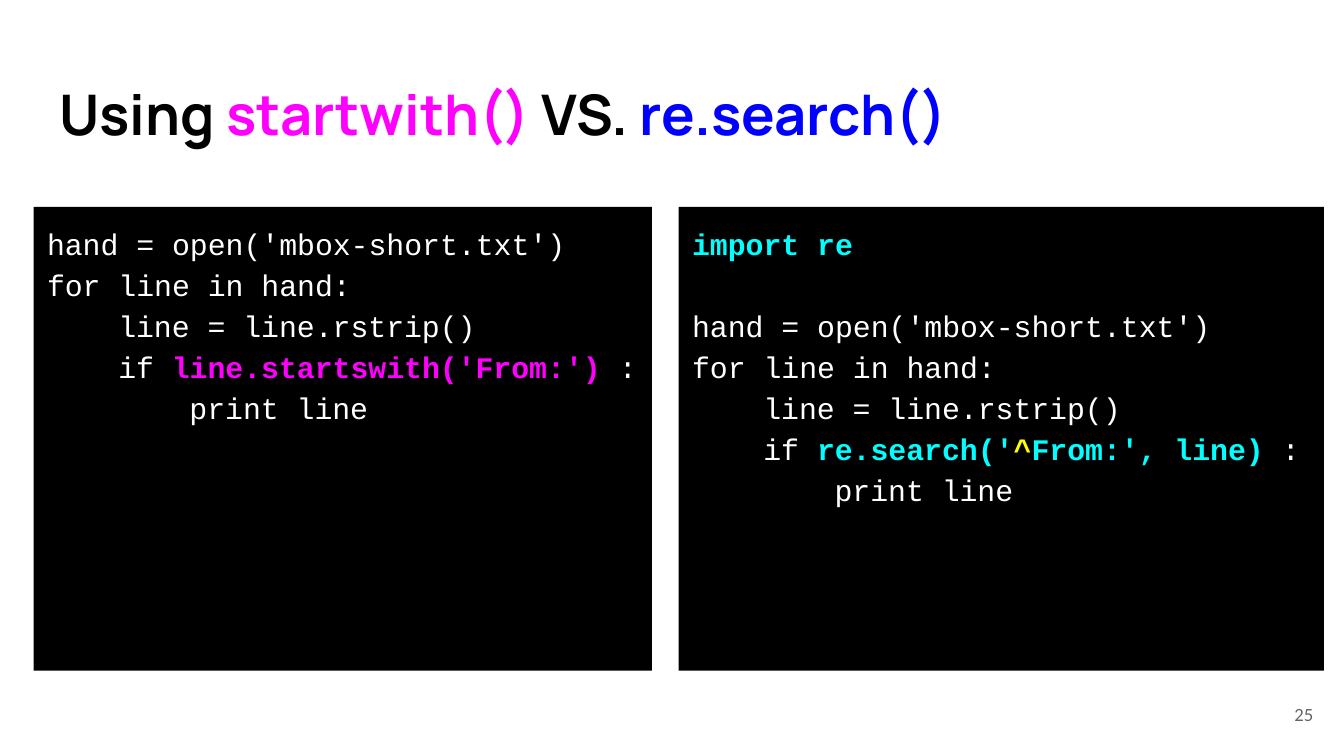
from pptx import Presentation
from pptx.dml.color import RGBColor
from pptx.enum.text import MSO_ANCHOR, MSO_AUTO_SIZE, PP_ALIGN
from pptx.oxml import parse_xml
from pptx.oxml.ns import nsdecls
from pptx.util import Inches, Pt

COLORS = {
    "black": "000000", "white": "FFFFFF", "magenta": "FF00FF", "blue": "0000FF",
    "cyan": "00FFFF", "yellow": "FFFF00", "gray": "666666",
}
LINE_HEIGHT = 22  # points
INDENT = 0.53  # four monospaced characters at 16 pt


def add_span(para, text, color, size=16, font="Courier New", bold=False):
    span = para.add_run()
    span.text = text
    span.font.name = font
    span.font.size = Pt(size)
    span.font.bold = bold
    span.font.color.rgb = RGBColor.from_string(COLORS[color])


def place(box, left, top, width, height, anchor=MSO_ANCHOR.TOP):
    box.left, box.top = Inches(left), Inches(top)
    box.width, box.height = Inches(width), Inches(height)
    frame = box.text_frame
    frame.word_wrap = True
    frame.auto_size = MSO_AUTO_SIZE.NONE
    frame.vertical_anchor = anchor
    frame.margin_left = frame.margin_right = Inches(0.1)
    frame.margin_top = frame.margin_bottom = Inches(0.1)
    return frame


# A 16:9 page
deck = Presentation()
deck.slide_width, deck.slide_height = Inches(10), Inches(10 * 9 / 16)
page = deck.slides.add_slide(deck.slide_layouts.get_by_name("Two Content"))
title, left_panel, right_panel = page.placeholders

# Title
para = place(title, 0.34, 0.49, 9.32, 0.63).paragraphs[0]
para.alignment = PP_ALIGN.LEFT
for text, color in [("Using ", "black"), ("startwith() ", "magenta"),
                    ("VS. ", "black"), ("re.search()", "blue")]:
    add_span(para, text, color, size=30, font="Manrope", bold=True)

# Code panels: each line is (indent level, blank lines before, spans)
opening = [
    (0, 0, [("hand = open('mbox-short.txt')", "white")]),
    (0, 0, [("for line in hand:", "white")]),
    (1, 0, [("line = line.rstrip()", "white")]),
]
closing = [(2, 0, [("print line", "white")])]
startswith_code = opening + [
    (1, 0, [("if ", "white"), ("line.startswith('From:') ", "magenta"), (":", "white")]),
] + closing
search_code = [
    (0, 0, [("import re", "cyan")]),
    (0, 1, opening[0][2]),
] + opening[1:] + [
    (1, 0, [("if ", "white"), ("re.search('", "cyan"), ("^", "yellow"),
            ("From:', line) ", "cyan"), (":", "white")]),
] + closing

for panel, left, width, code in [(left_panel, 0.25, 4.6, startswith_code),
                                 (right_panel, 5.05, 4.8, search_code)]:
    frame = place(panel, left, 1.54, width, 3.45)
    panel.fill.solid()
    panel.fill.fore_color.rgb = RGBColor.from_string(COLORS["black"])
    for number, (level, blanks, spans) in enumerate(code):
        para = frame.add_paragraph() if number else frame.paragraphs[0]
        para.line_spacing = Pt(LINE_HEIGHT)
        para.space_before = Pt(LINE_HEIGHT * blanks)
        properties = para._p.get_or_add_pPr()
        properties.set("marL", str(Inches(INDENT * level)))
        properties.set("indent", "0")
        properties.append(parse_xml(f"<a:buNone {nsdecls('a')}/>"))
        for text, color in spans:
            add_span(para, text, color, bold=color != "white")

# Page number
number_box = page.shapes.add_textbox(0, 0, 0, 0)
para = place(number_box, 9.27, 5.1, 0.6, 0.43, MSO_ANCHOR.MIDDLE).paragraphs[0]
para.alignment = PP_ALIGN.RIGHT
add_span(para, "25", "gray", size=10, font="Calibri")

deck.save("out.pptx")
